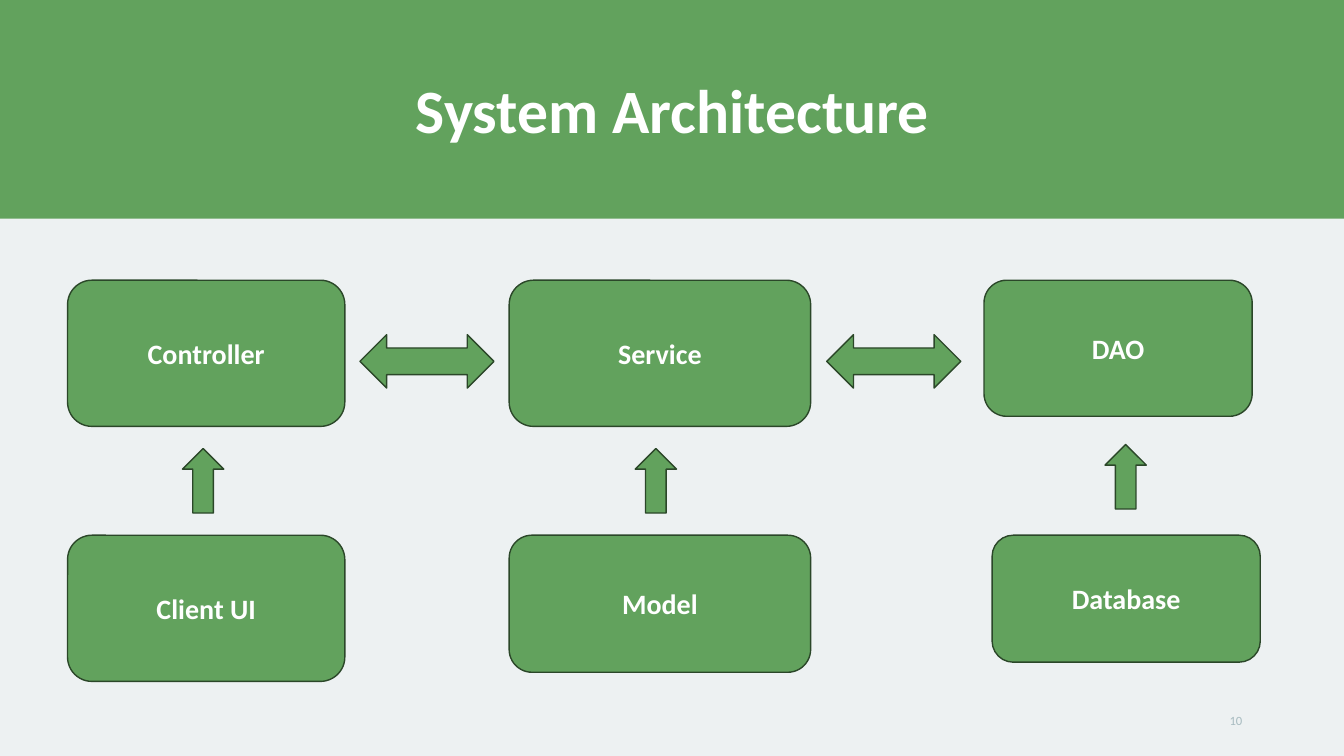
"""Build the System Architecture slide."""
from dataclasses import dataclass

from pptx import Presentation
from pptx.dml.color import RGBColor
from pptx.enum.shapes import MSO_SHAPE
from pptx.enum.text import MSO_ANCHOR, PP_ALIGN
from pptx.util import Pt

EMU_PER_PX = 9144
TITLE_ONLY = 5
RECT = MSO_SHAPE.RECTANGLE
ROUND = MSO_SHAPE.ROUNDED_RECTANGLE
PROCESS = MSO_SHAPE.FLOWCHART_ALTERNATE_PROCESS
UP = MSO_SHAPE.UP_ARROW
BOTH_WAYS = MSO_SHAPE.LEFT_RIGHT_ARROW
MIDDLE = MSO_ANCHOR.MIDDLE
CENTER = PP_ALIGN.CENTER
RIGHT = PP_ALIGN.RIGHT


@dataclass(frozen=True)
class Theme:
    """Colours, font and type sizes of the slide."""
    background: str = "EDF1F2"
    green: str = "62A25D"
    outline: str = "2B4729"
    white: str = "FFFFFF"
    muted: str = "A7BBC0"
    font: str = "Calibri"
    title: int = 44
    label: int = 20
    number: int = 9


THEME = Theme()
TOP_ROW, BOTTOM_ROW = 278, 531
BOXES = [
    ("Controller", PROCESS, 67, TOP_ROW, 275, 145),
    ("Service", PROCESS, 505, TOP_ROW, 299, 145),
    ("DAO", PROCESS, 976, TOP_ROW, 266, 135),
    ("Client UI", ROUND, 67, BOTTOM_ROW, 275, 145),
    ("Model", PROCESS, 505, BOTTOM_ROW, 299, 136),
    ("Database", PROCESS, 984, BOTTOM_ROW, 266, 126),
]
UP_ARROWS = [(181, 445), (630, 445), (1096, 441)]
SIDE_ARROWS = [(357, 332), (820, 332)]


def px(*lengths):
    """Turn px lengths into EMU."""
    return [n * EMU_PER_PX for n in lengths]


def rgb(value):
    """Turn a hex string into a colour."""
    return RGBColor.from_string(value)


def write(sp, text, size, color=THEME.white, bold=False, align=CENTER, spacing=None):
    """Put one formatted paragraph into a shape."""
    tf = sp.text_frame
    tf.word_wrap = True
    tf.vertical_anchor = MIDDLE
    p = tf.paragraphs[0]
    p.alignment = align
    p.line_spacing = spacing
    r = p.add_run()
    r.text = text
    r.font.name = THEME.font
    r.font.size = Pt(size)
    r.font.bold = bold
    r.font.color.rgb = rgb(color)


def add_block(slide, kind, x, y, w, h, outlined=True):
    """Add a green preset shape."""
    sp = slide.shapes.add_shape(kind, *px(x, y, w, h))
    sp.shadow.inherit = False
    sp.fill.solid()
    sp.fill.fore_color.rgb = rgb(THEME.green)
    if outlined:
        sp.line.color.rgb = rgb(THEME.outline)
        sp.line.width = Pt(1)
    else:
        sp.line.fill.background()
    return sp


def add_title(slide, text):
    """Place the title over a full-width banner."""
    title = slide.shapes.title
    title.left, title.top, title.width, title.height = px(92, 40, 1150, 145)
    banner = add_block(slide, RECT, 0, 0, 1333, 217, outlined=False)
    title.element.addprevious(banner.element)
    write(title, text, THEME.title, bold=True, spacing=0.9)


def add_page_number(slide, text):
    """Add the page number at the lower right."""
    sp = slide.shapes.add_textbox(*px(942, 695, 300, 40))
    write(sp, text, THEME.number, color=THEME.muted, align=RIGHT)


def main():
    """Build and save the slide."""
    prs = Presentation()
    prs.slide_width, prs.slide_height = px(1333, 750)
    slide = prs.slides.add_slide(prs.slide_layouts[TITLE_ONLY])
    slide.background.fill.solid()
    slide.background.fill.fore_color.rgb = rgb(THEME.background)
    add_title(slide, "System Architecture")
    add_page_number(slide, "10")
    for label, kind, *frame in BOXES:
        write(add_block(slide, kind, *frame), label, THEME.label, bold=True)
    for x, y in UP_ARROWS:
        add_block(slide, UP, x, y, 41, 64)
    for x, y in SIDE_ARROWS:
        add_block(slide, BOTH_WAYS, x, y, 133, 53)
    prs.save("out.pptx")


if __name__ == "__main__":
    main()
